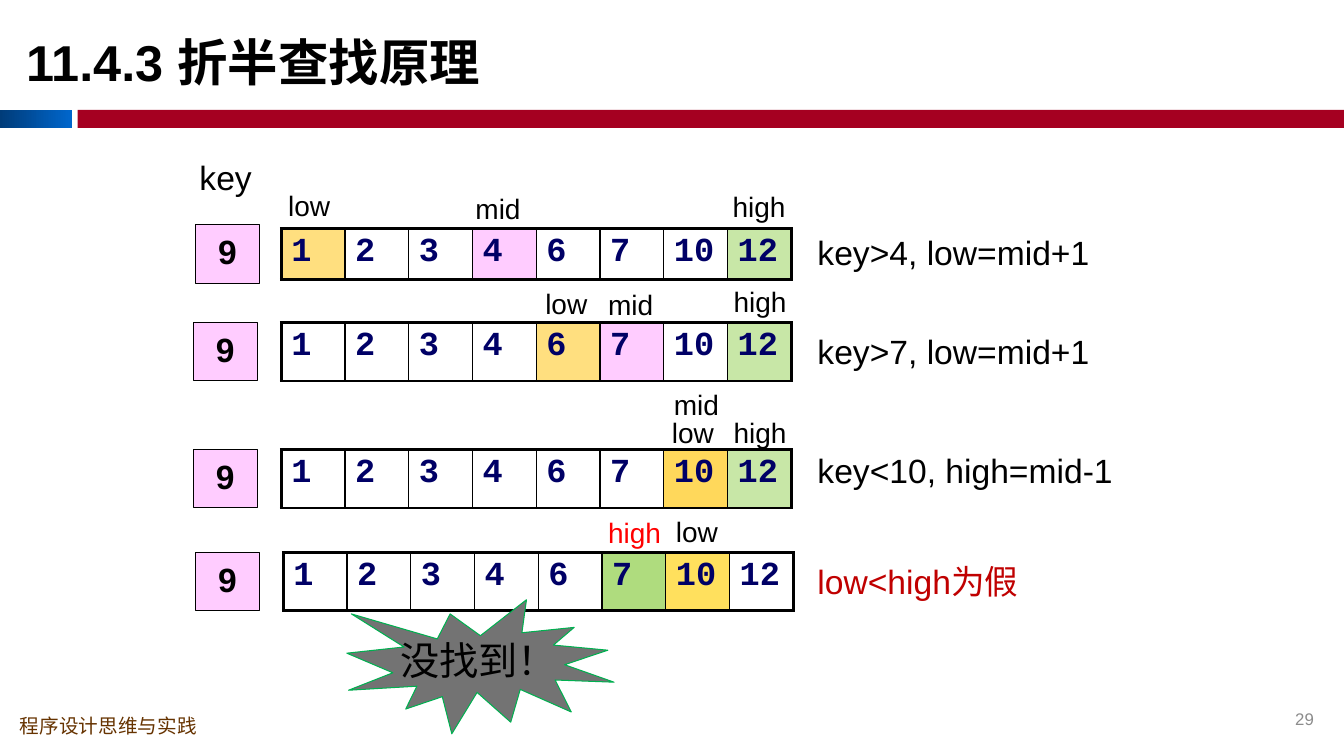
import pptx
import pptx.util
import pptx.dml.color
import pptx.enum.shapes
import pptx.enum.text
import pptx.oxml
import pptx.oxml.ns

SHAPE = pptx.enum.shapes.MSO_SHAPE
ALIGN = pptx.enum.text.PP_ALIGN
MID = pptx.enum.text.MSO_ANCHOR.MIDDLE
NS = pptx.oxml.ns.nsdecls("a")
SCALE = 9144
HAN = "Noto Sans CJK SC"
HUES = {
    "black": "000000", "navy": "000066", "brown": "663300", "gray": "8C8C8C",
    "deep": "003C79", "blue": "0066CC", "wine": "A50021", "pink": "FFCCFF",
    "gold": "FFC000", "lime": "92D050", "amber": "FFD85B", "lemon": "FFE05D",
    "leaf": "AFDC7E", "red": "FF0000", "brick": "C00000", "slate": "737373",
    "green": "00B050",
}
NUMS = [1, 2, 3, 4, 6, 7, 10, 12]

STEPS = [
    {"box": (279, 227, 506, 50), "key": (-85, -4),
     "fills": {0: ("gold", 50), 3: ("pink", 100), 7: ("lime", 50)},
     "marks": [("low", 0, -3, -41, "black"), ("mid", 3, -7, -38, "black"),
               ("high", 7, -5, -40, "black")],
     "note": ("key>4, low=mid+1", 3, "black")},
    {"box": (279, 320, 506, 58), "key": (-87, 0),
     "fills": {4: ("gold", 50), 5: ("pink", 100), 7: ("lime", 50)},
     "marks": [("low", 4, -1, -37, "black"), ("mid", 5, -2, -36, "black"),
               ("high", 7, -4, -39, "black")],
     "note": ("key>7, low=mid+1", 8, "black")},
    {"box": (279, 446, 506, 58), "key": (-87, 0),
     "fills": {6: ("amber", 100), 7: ("lime", 50)},
     "marks": [("mid", 6, 0, -63, "black"), ("low", 6, -2, -35, "black"),
               ("high", 7, -4, -35, "black")],
     "note": ("key<10, high=mid-1", 0, "black")},
    {"box": (281, 548, 506, 58), "key": (-87, 0),
     "fills": {5: ("leaf", 100), 6: ("lemon", 100)},
     "marks": [("high", 5, -4, -38, "red"), ("low", 6, 0, -39, "black")],
     "note": ("low<high为假", 8, "brick")},
]


def emu(*px):
    return [pptx.util.Emu(round(n * SCALE)) for n in px]


def rgb(hue):
    return pptx.dml.color.RGBColor.from_string(HUES[hue])


def write(frame, words, size, hue, font="Arial", bold=False, align=ALIGN.LEFT,
          lead=0.9, after=0):
    para = frame.paragraphs[0]
    para.alignment = align
    para.line_spacing = lead
    para.space_after = pptx.util.Pt(after)
    run = para.add_run()
    run.text = words
    run.font.size = pptx.util.Pt(size)
    run.font.bold = bold
    run.font.name = font
    run.font.color.rgb = rgb(hue)
    east = pptx.oxml.parse_xml(f'<a:ea {NS} typeface="{HAN}"/>')
    run.font._element.append(east)


def label(slide, box, words, size, hue, anchor=None, **style):
    frame = slide.shapes.add_textbox(*emu(*box)).text_frame
    frame.word_wrap = True
    if anchor is not None:
        frame.vertical_anchor = anchor
    write(frame, words, size, hue, **style)


def block(slide, kind, box, hue, edge=None):
    shape = slide.shapes.add_shape(kind, *emu(*box))
    shape.shadow.inherit = False
    shape.fill.solid()
    shape.fill.fore_color.rgb = rgb(hue)
    if edge:
        shape.line.color.rgb = rgb(edge)
        shape.line.width = pptx.util.Pt(0.75)
    else:
        shape.line.fill.background()
    return shape


def badge(slide, kind, box, hue, edge, words, size, **style):
    frame = block(slide, kind, box, hue, edge).text_frame
    frame.word_wrap = False
    frame.vertical_anchor = MID
    write(frame, words, size, "black", align=ALIGN.CENTER, after=6, **style)


def paint(cell, hue, alpha):
    cell.fill.solid()
    cell.fill.fore_color.rgb = rgb(hue)
    if alpha < 100:
        tint = cell._tc.tcPr.find(".//" + pptx.oxml.ns.qn("a:srgbClr"))
        tint.append(pptx.oxml.parse_xml(f'<a:alpha {NS} val="{alpha * 1000}"/>'))


def edges(cell, left, right):
    widths = {"lnL": left, "lnR": right, "lnT": 2.25, "lnB": 2.25}
    for spot, (tag, width) in enumerate(widths.items()):
        cell._tc.tcPr.insert(spot, pptx.oxml.parse_xml(
            f'<a:{tag} {NS} w="{pptx.util.Pt(width)}"><a:solidFill>'
            f'<a:srgbClr val="{HUES["black"]}"/></a:solidFill></a:{tag}>'))


def array(slide, box, fills):
    table = slide.shapes.add_table(1, len(NUMS), *emu(*box)).table
    table.first_row = False
    table.horz_banding = False
    table.rows[0].height = emu(box[3])[0]
    last = len(NUMS) - 1
    for col, num in enumerate(NUMS):
        table.columns[col].width = emu(box[2] / len(NUMS))[0]
        cell = table.cell(0, col)
        cell.margin_left, cell.margin_right = emu(10, 10)
        cell.margin_top, cell.margin_bottom = emu(5, 5)
        if col in fills:
            paint(cell, *fills[col])
        else:
            cell.fill.background()
        edges(cell, 2.25 if col == 0 else 1, 2.25 if col == last else 1)
        write(cell.text_frame, str(num), 24, "navy", font="Courier New",
              bold=True, lead=0.95)


def step(slide, box, key, fills, marks, note):
    left, top, width, high = box
    array(slide, box, fills)
    badge(slide, SHAPE.RECTANGLE, (left + key[0], top + key[1], 63, 58),
          "pink", "black", "9", 24, bold=True)
    for word, col, right, down, hue in marks:
        spot = left + col * width / len(NUMS) + right
        label(slide, (spot, top + down, 84, 40), word, 20, hue, after=6)
    words, down, hue = note
    label(slide, (801, top + down, 336, 46), words, 24, hue, after=6)


def header(slide, box):
    left, top, width, high = box
    bar = block(slide, SHAPE.RECTANGLE, (left, top + 109, 71, 18), "deep")
    bar.fill.gradient()
    bar.fill.gradient_angle = 0
    for stop, hue in zip(bar.fill.gradient_stops, ("deep", "blue")):
        stop.color.rgb = rgb(hue)
    block(slide, SHAPE.RECTANGLE, (left + 77, top + 109, width - 77, 18), "wine")
    label(slide, (left + 16, top - 2, 975, 125), "11.4.3 折半查找原理", 36,
          "black", anchor=MID, bold=True, lead=1.0)


def footer(slide, box):
    left, top, width, high = box
    label(slide, (left + 10, top + 8, 250, 32), "程序设计思维与实践", 14, "brown")
    label(slide, (left + width - 153, top, 133, 31), "29", 12, "gray",
          anchor=MID, align=ALIGN.RIGHT, lead=1.0)


def main():
    deck = pptx.Presentation()
    deck.slide_width, deck.slide_height = emu(1333, 750)
    slide = deck.slides.add_slide(deck.slide_layouts[6])
    header(slide, (0, 0, 1333, 127))
    footer(slide, (0, 698, 1333, 52))
    label(slide, (188, 155, 132, 46), "key", 24, "black", after=6)
    for part in STEPS:
        step(slide, **part)
    badge(slide, SHAPE.EXPLOSION1, (344, 595, 265, 133), "slate", "green",
          "没找到！", 28, font=HAN)
    deck.save("out.pptx")


if __name__ == "__main__":
    main()
